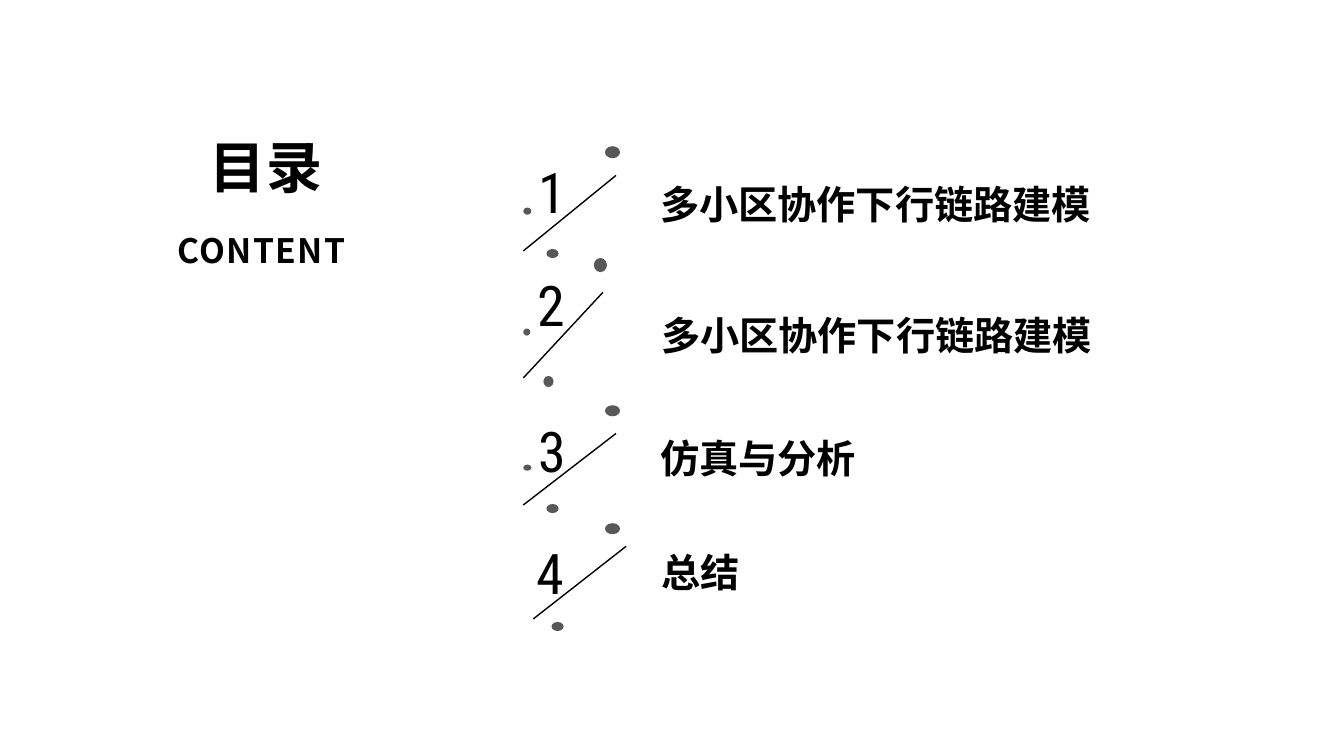
from lxml import etree
from pptx import Presentation
from pptx.dml.color import RGBColor
from pptx.enum.shapes import MSO_CONNECTOR as Connector, MSO_SHAPE as Shape
from pptx.enum.text import MSO_ANCHOR as Anchor, MSO_AUTO_SIZE as AutoSize, PP_ALIGN as Align
from pptx.oxml.ns import qn
from pptx.util import Inches, Pt

BLACK = RGBColor(0, 0, 0)
GRAY = RGBColor(0x52, 0x52, 0x52)
HEADING_FONT = "Noto Sans CJK JP"
ITEM_FONT = "Noto Sans CJK SC"
NUMBER_FONT = "Roboto Condensed"

# Content: each entry has its caption, number, slash (from, to) and dots
ENTRIES = [
    {"caption": "多小区协作下行链路建模", "caption_at": (6.45, 1.74, 4.51, 0.57),
     "number_at": (5.24, 1.51, 0.97, 0.97), "slash": (6.11, 1.74, 5.19, 2.49),
     "dots": [(6, 1.45, 0.15, 0.12), (5.42, 2.47, 0.12, 0.09), (5.19, 2.06, 0.08, 0.07)]},
    {"caption": "多小区协作下行链路建模", "caption_at": (6.46, 3.04, 4.62, 0.57),
     "number_at": (5.23, 2.63, 0.84, 1.11), "slash": (5.98, 2.9, 5.19, 3.75),
     "dots": [(5.89, 2.56, 0.13, 0.14), (5.39, 3.73, 0.1, 0.11), (5.19, 3.26, 0.07, 0.07)]},
    {"caption": "仿真与分析", "caption_at": (6.45, 4.26, 4.29, 0.57),
     "number_at": (5.24, 4.08, 0.97, 0.92), "slash": (6.11, 4.3, 5.19, 5.01),
     "dots": [(6, 4.02, 0.15, 0.11), (5.42, 5, 0.12, 0.09), (5.19, 4.61, 0.08, 0.06)]},
    {"caption": "总结", "caption_at": (6.46, 5.39, 3.01, 0.57),
     "number_at": (5.22, 5.29, 0.97, 0.77), "slash": (6.21, 5.42, 5.29, 6.14),
     "dots": [(6, 5.19, 0.15, 0.11), (5.47, 6.17, 0.12, 0.09)]},
]


def inches(values):
    return [Inches(value) for value in values]


def write(box, text, font, size, bold=False, spacing=0, anchor=Anchor.MIDDLE):
    frame = box.text_frame
    frame.word_wrap = True
    frame.auto_size = AutoSize.NONE
    frame.vertical_anchor = anchor
    para = frame.paragraphs[0]
    para.alignment = Align.LEFT
    para.line_spacing = 1.0
    para.space_before = Pt(0)
    span = para.add_run()
    span.text = text
    span.font.name = font
    span.font.size = Pt(size)
    span.font.bold = bold
    span.font.color.rgb = BLACK
    properties = span.font._element
    properties.set("spc", str(spacing * 100))
    etree.SubElement(properties, qn("a:ea")).set("typeface", font)


def add_slash(shapes, ends):
    slash = shapes.add_connector(Connector.STRAIGHT, *inches(ends))
    slash.line.color.rgb = BLACK
    slash.line.width = Pt(1)
    etree.SubElement(slash._element.spPr, qn("a:effectLst"))


def add_dot(shapes, place):
    dot = shapes.add_shape(Shape.OVAL, *inches(place))
    dot.shadow.inherit = False
    dot.fill.solid()
    dot.fill.fore_color.rgb = GRAY
    dot.line.fill.background()
    color = dot._element.spPr.find(qn("a:solidFill"))[0]
    etree.SubElement(color, qn("a:alpha")).set("val", "96000")


deck = Presentation()
deck.slide_width, deck.slide_height = Inches(13.33), Inches(7.5)
page = deck.slides.add_slide(deck.slide_layouts[5])

# Heading
title = page.shapes.title
title.left, title.top, title.width, title.height = inches((1.98, 1.26, 1.5, 0.77))
write(title, "目录", HEADING_FONT, 40, bold=True, spacing=1)
subtitle = page.shapes.add_textbox(*inches((1.66, 2.23, 3.13, 0.5)))
write(subtitle, "CONTENT", HEADING_FONT, 24, bold=True, spacing=1)

# Numbered entries
for number, entry in enumerate(ENTRIES, 1):
    shapes = page.shapes.add_group_shape().shapes
    number_box = shapes.add_textbox(*inches(entry["number_at"]))
    write(number_box, str(number), NUMBER_FONT, 40, anchor=Anchor.TOP)
    add_slash(shapes, entry["slash"])
    for place in entry["dots"]:
        add_dot(shapes, place)
    caption_box = shapes.add_textbox(*inches(entry["caption_at"]))
    write(caption_box, entry["caption"], ITEM_FONT, 28, bold=True)

deck.save("out.pptx")
